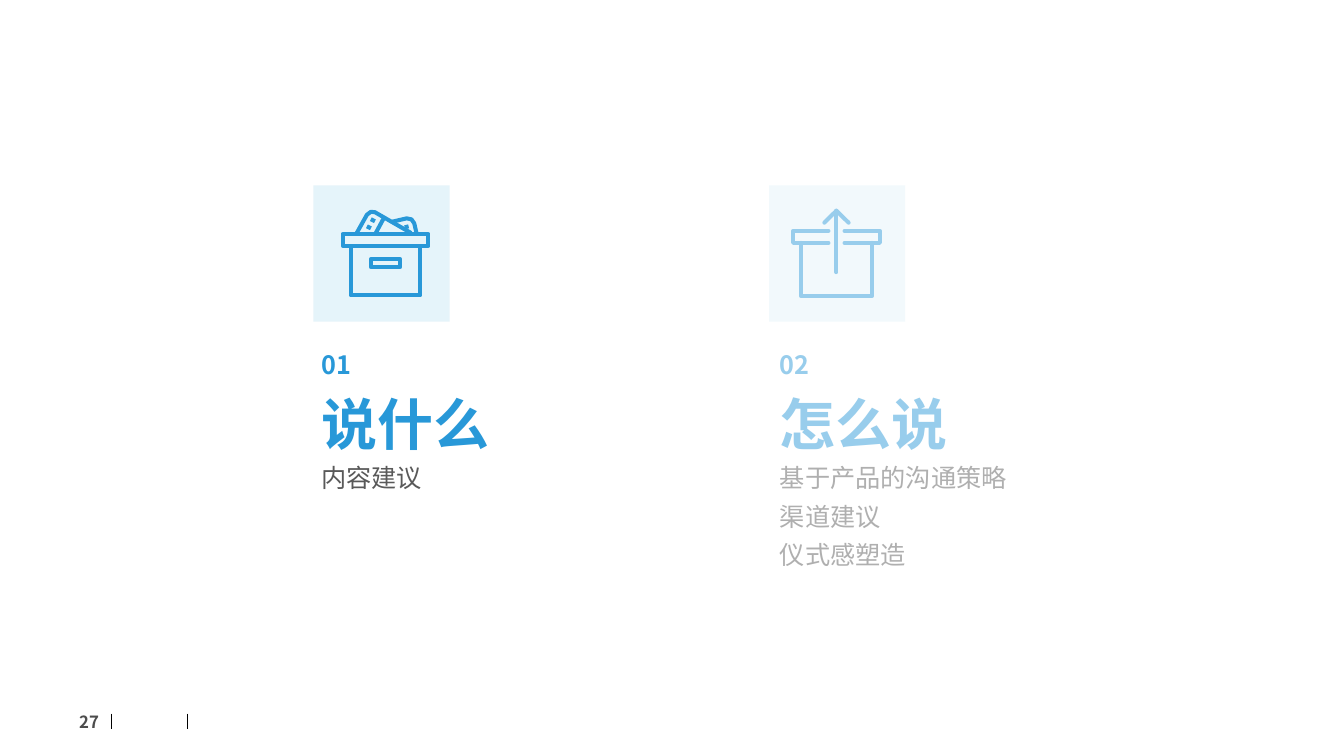
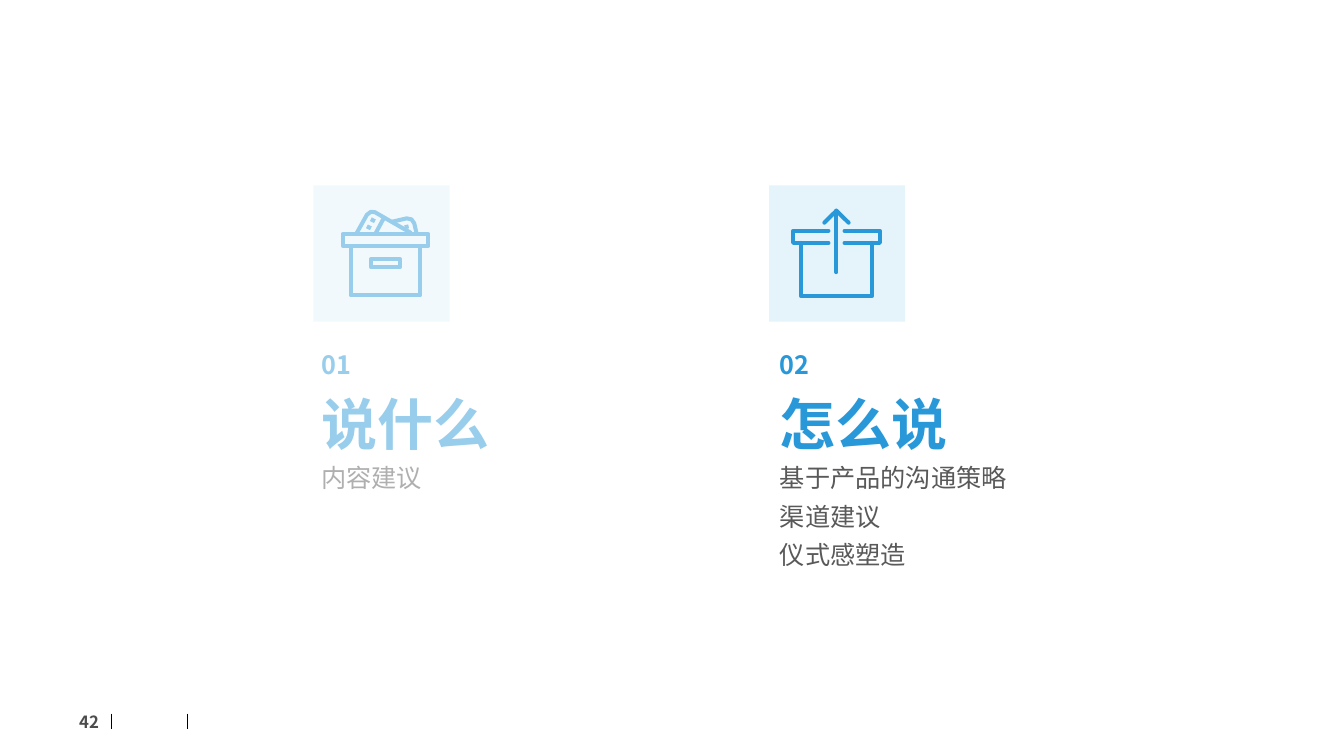
from pptx import Presentation
from pptx.dml.color import RGBColor
from pptx.enum.shapes import MSO_CONNECTOR, MSO_SHAPE
from pptx.enum.text import MSO_ANCHOR, PP_ALIGN
from pptx.oxml.ns import qn
from pptx.util import Pt
from lxml.etree import SubElement

FONT = "Noto Sans CJK SC"
BLUE, PALE, GREY, BLACK, WHITE = "2898D8", "E5F4FA", "595959", "000000", "FFFFFF"
VEIL_OPACITY = 52
PANEL_TOP, PANEL_WIDTH, PANEL_HEIGHT = 77, 265, 340
TILE_DROP, TILE_SIZE, TEXT_DROP = 55.5, 97.2, 169.4
STROKE = 2.9

NUMBER_STYLE = {"size": Pt(18), "bold": True, "color": BLUE}
HEADING_STYLE = {"size": Pt(40), "bold": True, "color": BLUE}
BODY_STYLE = {"size": Pt(18), "bold": False, "color": GREY}
FOOTER_STYLE = {"size": Pt(12), "bold": True, "color": BLACK}


def rectangle_path(left, top, right, bottom):
    """Return the closed outline of a rectangle."""
    return [(left, top), (right, top), (right, bottom), (left, bottom)], True


FILE_BOX = {
    "cap": "flat",
    "strokes": [
        rectangle_path(20.9, 34.6, 82.1, 43.2),
        rectangle_path(26.6, 43.2, 76.3, 78.5),
        rectangle_path(41, 52.6, 61.9, 58.3),
        ([(31, 33.8), (38.2, 20.9), (41, 18.8), (43.9, 19.1), (69.8, 34)], False),
        ([(44.6, 33.8), (50, 23.8)], False),
        ([(56.2, 25.9), (66.6, 23.5), (70, 24.2), (72, 27), (73.6, 34)], False),
        ([(38.2, 29.2), (41, 30.6)], False),
        ([(41, 24.1), (43.9, 25.6)], False),
        ([(65.2, 29.9), (68, 29.2)], False),
    ],
}
SEND_BOX = {
    "cap": "rnd",
    "strokes": [
        ([(42.5, 41), (17.3, 41), (17.3, 32.4), (42.5, 32.4)], False),
        ([(54, 41), (79.2, 41), (79.2, 32.4), (54, 32.4)], False),
        ([(23, 41), (23, 79.2), (73.4, 79.2), (73.4, 41)], False),
        ([(48.2, 18), (48.2, 61.9)], False),
        ([(39.6, 26.6), (48.2, 18), (56.9, 26.6)], False),
    ],
}

SECTIONS = [
    {
        "left": 127.4, "tile_inset": 96.5, "text_inset": 95.1, "icon": FILE_BOX,
        "number": "01", "heading": "说什么", "topics": ["内容建议"],
    },
    {
        "left": 530.6, "tile_inset": 18.7, "text_inset": 19.4, "icon": SEND_BOX,
        "number": "02", "heading": "怎么说",
        "topics": ["基于产品的沟通策略", "渠道建议", "仪式感塑造"],
    },
]


def paint(color_format, color, opacity=100):
    """Set a colour from a hex string, with an opacity in percent."""
    color_format.rgb = RGBColor.from_string(color)
    if opacity < 100:
        node = color_format._xFill.find(qn("a:srgbClr"))
        SubElement(node, qn("a:alpha")).set("val", str(opacity * 1000))


def add_panel(page, left, top, width, height, color, opacity=100):
    """Add a filled rectangle without an outline."""
    panel = page.shapes.add_shape(
        MSO_SHAPE.RECTANGLE, Pt(left), Pt(top), Pt(width), Pt(height))
    panel.shadow.inherit = False
    panel.fill.solid()
    paint(panel.fill.fore_color, color, opacity)
    panel.line.fill.background()


def add_text_box(page, left, top, width, height):
    """Add a wrapping text box and return its frame."""
    box = page.shapes.add_textbox(Pt(left), Pt(top), Pt(width), Pt(height))
    box.text_frame.word_wrap = True
    return box.text_frame


def write(para, text, style, opacity=100, **layout):
    """Fill a paragraph with one styled span and set its layout."""
    for name, value in layout.items():
        setattr(para, name, value)
    span = para.add_run()
    span.text = text
    span.font.name = FONT
    for name, value in style.items():
        if name != "color":
            setattr(span.font, name, value)
    span.font.fill.solid()
    paint(span.font.fill.fore_color, style["color"], opacity)
    SubElement(span.font._element, qn("a:ea")).set("typeface", FONT)


def add_icon(page, icon, left, top):
    """Draw an icon as one outline of several strokes in the tile's corner."""
    builder = None
    for points, closed in icon["strokes"]:
        placed = [(Pt(left + x), Pt(top + y)) for x, y in points]
        if builder is None:
            builder = page.shapes.build_freeform(*placed[0])
        else:
            builder.move_to(*placed[0])
        builder.add_line_segments(placed[1:], close=closed)
    outline = builder.convert_to_shape()
    outline.shadow.inherit = False
    outline.fill.background()
    outline.line.width = Pt(STROKE)
    outline.line.fill.solid()
    paint(outline.line.fill.fore_color, BLUE)
    stroke = outline.line._get_or_add_ln()
    stroke.set("cap", icon["cap"])
    SubElement(stroke, qn("a:round"))


def add_section(page, section, active):
    """Place a section's tile, icon and text in its panel, veiled if inactive."""
    left, top = section["left"], PANEL_TOP
    tile_left, tile_top = left + section["tile_inset"], top + TILE_DROP
    add_panel(page, tile_left, tile_top, TILE_SIZE, TILE_SIZE, PALE)
    add_icon(page, section["icon"], tile_left, tile_top)
    frame = add_text_box(
        page, left + section["text_inset"], top + TEXT_DROP, 200, 165)
    write(frame.paragraphs[0], section["number"], NUMBER_STYLE,
          line_spacing=Pt(21.5))
    write(frame.add_paragraph(), section["heading"], HEADING_STYLE,
          line_spacing=Pt(49), space_before=Pt(6))
    for index, topic in enumerate(section["topics"]):
        write(frame.add_paragraph(), topic, BODY_STYLE, line_spacing=Pt(21.5),
              space_before=Pt(6 if index else 4))
    if not active:
        add_panel(page, left, top, PANEL_WIDTH, PANEL_HEIGHT, WHITE, VEIL_OPACITY)


def add_footer(page, number):
    """Add the two footer rules and the page number."""
    for x in (79.2, 133.9):
        rule = page.shapes.add_connector(
            MSO_CONNECTOR.STRAIGHT, Pt(x), Pt(509.8), Pt(x), Pt(520.6))
        rule.line.width = Pt(0.5)
        rule.line.fill.solid()
        paint(rule.line.fill.fore_color, BLACK)
        SubElement(rule._element.spPr, qn("a:effectLst"))
    frame = add_text_box(page, 38.9, 501.1, 38.9, 28.8)
    frame.vertical_anchor = MSO_ANCHOR.MIDDLE
    write(frame.paragraphs[0], str(number), FOOTER_STYLE, 70,
          alignment=PP_ALIGN.RIGHT)


def add_agenda(deck, number, active_index):
    """Add an agenda slide that highlights one section."""
    page = deck.slides.add_slide(deck.slide_layouts[6])
    add_footer(page, number)
    for index, section in enumerate(SECTIONS):
        add_section(page, section, index == active_index)


def main():
    """Build and save the deck."""
    deck = Presentation()
    deck.slide_width, deck.slide_height = Pt(960), Pt(540)
    for active_index, number in enumerate((27, 42)):
        add_agenda(deck, number, active_index)
    deck.save("out.pptx")


if __name__ == "__main__":
    main()
